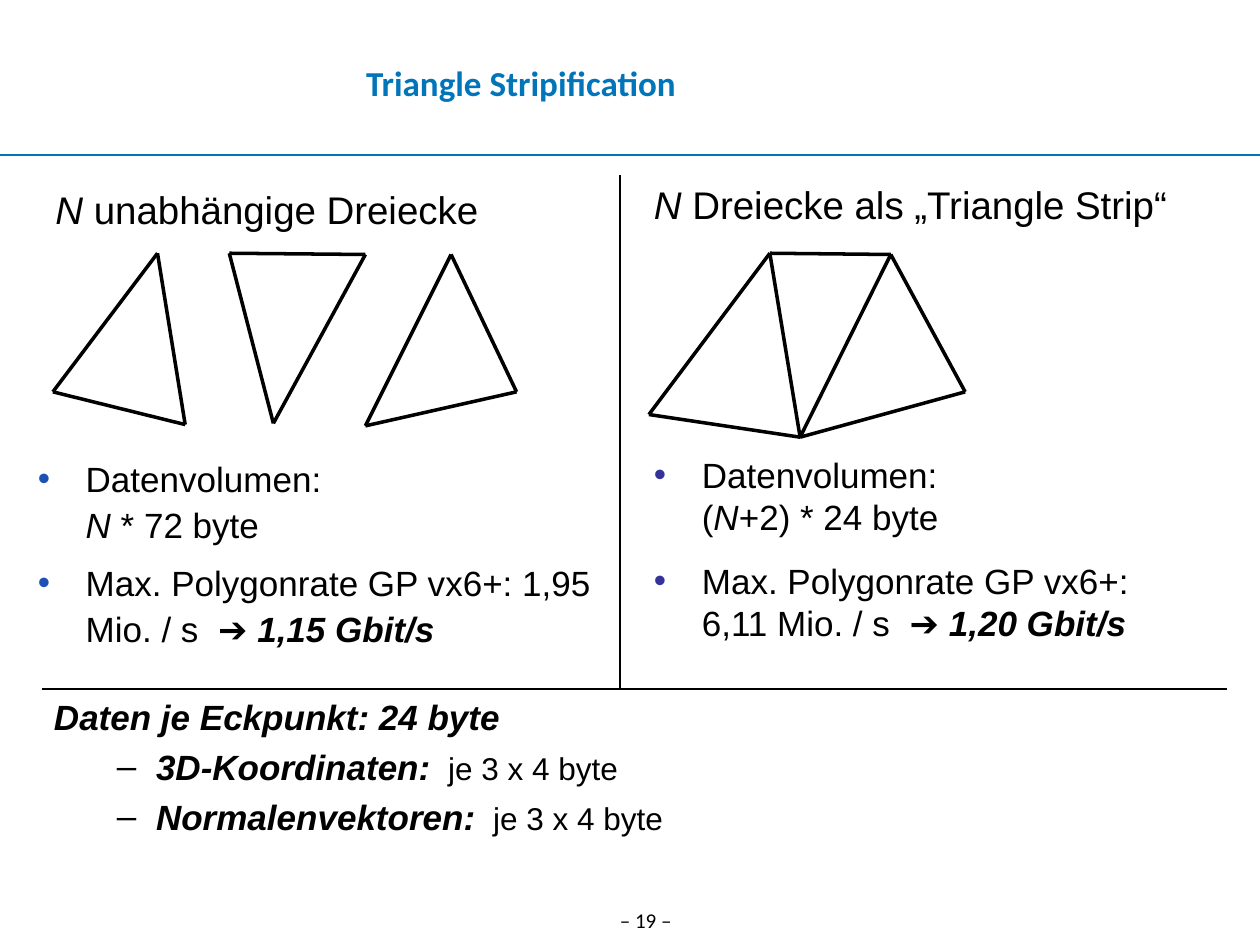
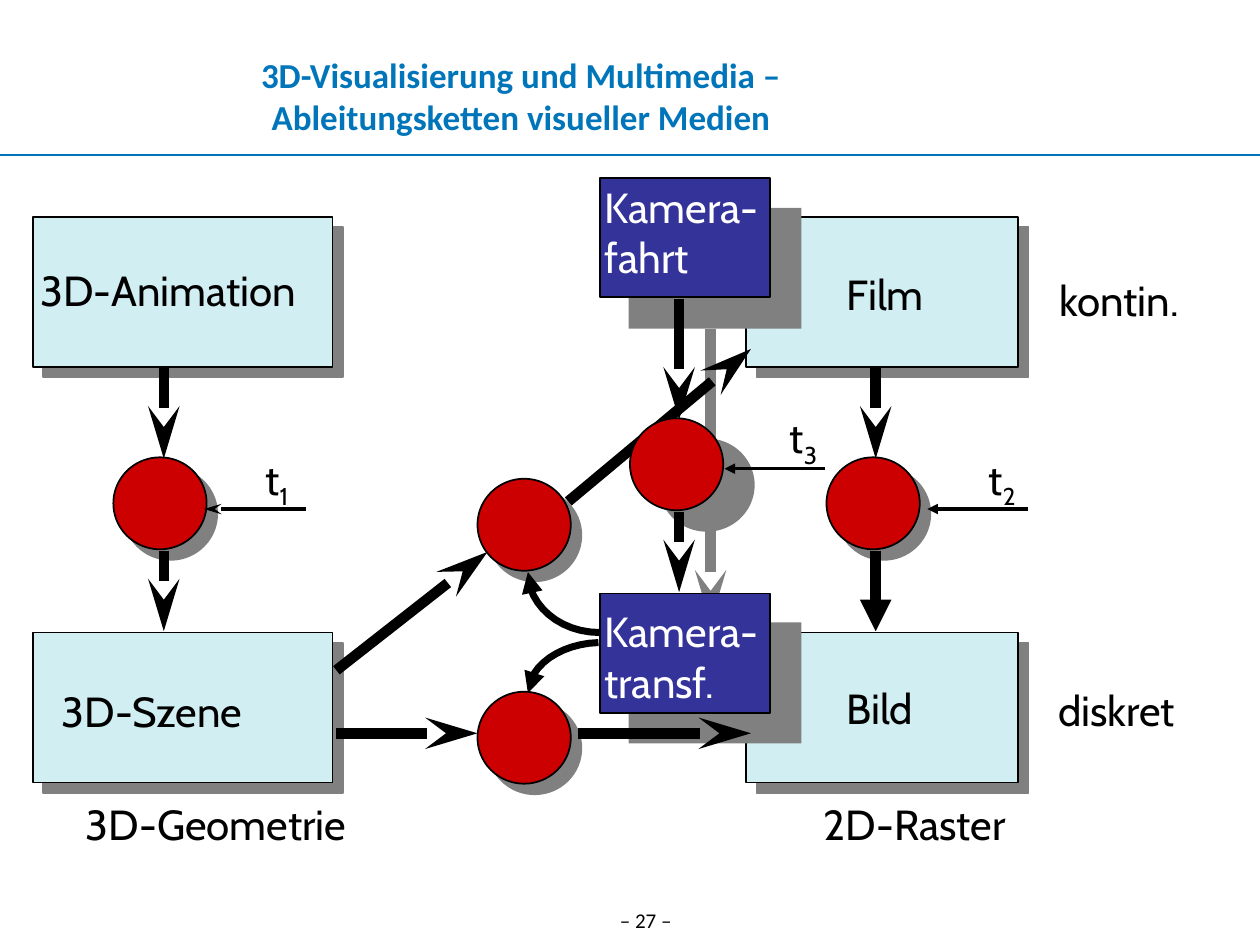
from itertools import combinations
from lxml.etree import SubElement as Sub
from pptx import Presentation
from pptx.dml.color import RGBColor
from pptx.enum.shapes import MSO_CONNECTOR as Conn, MSO_SHAPE as Kind
from pptx.enum.text import MSO_ANCHOR as Anchor, MSO_AUTO_SIZE as Fit, PP_ALIGN as Align
from pptx.oxml.ns import qn
from pptx.util import Pt

BLACK = RGBColor(0x00, 0x00, 0x00)
WHITE = RGBColor(0xFF, 0xFF, 0xFF)
BLUE = RGBColor(0x00, 0x75, 0xBA)
SKY = RGBColor(0x1D, 0x51, 0xB5)
NAVY = RGBColor(0x33, 0x33, 0x99)
PALE = RGBColor(0xD1, 0xEF, 0xF3)
RED = RGBColor(0xCC, 0x00, 0x00)
GRAY = RGBColor(0x80, 0x80, 0x80)

deck = Presentation()
deck.slide_width, deck.slide_height = Pt(720), Pt(540)
CELL = deck.slide_width // 10


def write(frame, runs, face="Arial", size=20, ink=BLACK, align=Align.LEFT,
          gap=0, lead=1.0, mark=None, hang=(0, 0)):
    frame.word_wrap = True
    frame.auto_size = Fit.NONE
    para = frame.paragraphs[0]
    if para.runs:
        para = frame.add_paragraph()
        para.space_before = Pt(gap)
    else:
        para.space_before = Pt(0)
    para.alignment, para.line_spacing = align, lead
    props = para._p.get_or_add_pPr()
    props.set("marL", str(int(hang[0] * CELL)))
    props.set("indent", str(int(-hang[1] * CELL)))
    if mark:
        sign, tint = mark
        Sub(Sub(props, qn("a:buClr")), qn("a:srgbClr"), val=str(tint))
        Sub(props, qn("a:buFont"), typeface="Arial")
        Sub(props, qn("a:buChar"), char=sign)
    else:
        Sub(props, qn("a:buNone"))
    for words, style in runs:
        for num, part in enumerate(words.split("\n")):
            if num:
                para.add_line_break()
            if not part:
                continue
            run = para.add_run()
            run.text = part
            font = run.font
            font.name, font.color.rgb = face, ink
            font.size = Pt(18 if "m" in style else size)
            font.bold, font.italic = "b" in style, "i" in style
            if "s" in style:
                run._r.get_or_add_rPr().set("baseline", "-25000")


def link(slide, ends, wide, ink=BLACK, tip=None):
    line = slide.shapes.add_connector(Conn.STRAIGHT, *[int(v * CELL) for v in ends])
    line.line.color.rgb, line.line.width = ink, Pt(wide)
    if tip:
        reach = "lg" if tip == "stealth" else "med"
        Sub(line.line._get_or_add_ln(), qn("a:tailEnd"), type=tip, w="med", len=reach)
    Sub(line._element.spPr, qn("a:effectLst"))


slides = []
for form, head, top, tall, page in [
    (4, "Triangle Stripification", 0.23, 0.85, 19),
    (5, "3D-Visualisierung und Multimedia –\nAbleitungsketten visueller Medien", 0.44, 0.64, 27),
]:
    slide = deck.slides.add_slide(deck.slide_layouts[form])
    slides.append(slide)
    link(slide, (0, 1.23, 10, 1.23), 0.75, BLUE)
    foot = slide.shapes.add_textbox(*[int(v * CELL) for v in (4.69, 7.15, 0.87, 0.3)])
    write(foot.text_frame, [(f"– {page} –", "")], "Calibri", 12, align=Align.CENTER)
    title = slide.shapes.title
    title.left, title.top, title.width, title.height = [int(v * CELL) for v in (0.2, top, 7.87, tall)]
    frame = title.text_frame
    frame.margin_left = frame.margin_right = frame.margin_top = frame.margin_bottom = 0
    frame.vertical_anchor = Anchor.MIDDLE
    write(frame, [(head, "b")], "Calibri", 20, BLUE, Align.CENTER)

strip, chain = slides

for key, place, size, lead, gap, tint, paras in [
    (1, (0.34, 1.39, 4.25, 0.5), 22, 1.1, 0, None,
     [[("N", "i"), (" unabhängige Dreiecke", "")]]),
    (3, (5.09, 1.39, 4.74, 0.5), 22, 1.0, 0, None,
     [[("N", "i"), (" Dreiecke als „Triangle Strip“", "")]]),
    (2, (0.2, 3.55, 4.88, 1.75), 20, 1.1, 6.2, SKY,
     [[("Datenvolumen:\n", ""), ("N", "i"), (" * 72 byte", "")],
      [("Max. Polygonrate GP vx6+: 1,95 Mio. / s  ➔ ", ""), ("1,15 Gbit/s", "bi")]]),
    (4, (5.09, 3.55, 4.91, 1.75), 20, 1.0, 12.5, NAVY,
     [[("Datenvolumen:\n(", ""), ("N", "i"), ("+2) * 24 byte", "")],
      [("Max. Polygonrate GP vx6+:\n6,11 Mio. / s  ➔ ", ""), ("1,20 Gbit/s", "bi")]]),
]:
    body = strip.placeholders[key]
    body.left, body.top, body.width, body.height = [int(v * CELL) for v in place]
    body.text_frame.vertical_anchor = Anchor.TOP
    for runs in paras:
        write(body.text_frame, runs, size=size, lead=lead, gap=gap,
              mark=("•", tint) if tint else None, hang=(0.38, 0.38) if tint else (0, 0))

facts = strip.shapes.add_textbox(*[int(v * CELL) for v in (0.33, 5.47, 8.42, 1.33)]).text_frame
write(facts, [("Daten je Eckpunkt: 24 byte", "bi")])
for name in ("3D-Koordinaten:", "Normalenvektoren:"):
    write(facts, [(name, "bi"), ("  je 3 x 4 byte", "m")], gap=4.5,
          mark=("–", BLACK), hang=(0.81, 0.31))

link(strip, (4.92, 1.39, 4.92, 5.47), 1)
link(strip, (0.33, 5.47, 9.74, 5.47), 1)
for nodes in [
    [(0.42, 3.11), (1.25, 2.01), (1.47, 3.37)],
    [(1.82, 2.01), (2.17, 3.36), (2.9, 2.02)],
    [(2.9, 3.38), (3.58, 2.02), (4.1, 3.11)],
    [(5.15, 3.29), (6.11, 2.01), (6.35, 3.47), (7.07, 2.02), (7.66, 3.11)],
]:
    for a, b in combinations(range(len(nodes)), 2):
        if b - a < 3:
            link(strip, nodes[a] + nodes[b], 2)

HIGH, LOW = 1.72, 5.02
DISC = (0.74, 0.73)
back = [(Kind.RECTANGLE, (x, y, w, 1.19), PALE, True, True)
        for x, w in ((0.26, 2.38), (5.92, 2.16)) for y in (HIGH, LOW)]
back += [(Kind.RECTANGLE, (4.99, y, 1.37, 0.96), GRAY, False, False) for y in (1.65, 4.94)]
back += [(Kind.OVAL, (5.23, 3.48, 0.76, 0.74), GRAY, False, False)]
back += [(Kind.OVAL, spot + DISC, RED, True, True)
         for spot in ((0.9, 3.63), (6.56, 3.63), (3.79, 3.8), (3.79, 5.49))]
front = [(Kind.RECTANGLE, (4.76, y, 1.35, 0.95), NAVY, True, False) for y in (1.41, 4.71)]
front += [(Kind.OVAL, (5, 3.32) + DISC, RED, True, False)]

under = [
    ((5.64, 2.61, 5.64, 4.94), 6, GRAY, "stealth"),
    ((1.3, 2.92, 1.3, 3.64), 6, BLACK, "stealth"),
    ((1.3, 4.37, 1.3, 5.01), 6, BLACK, "stealth"),
    ((2.43, 4.04, 1.62, 4.04), 2, BLACK, "stealth"),
    ((6.95, 2.92, 6.95, 3.64), 6, BLACK, "stealth"),
    ((6.95, 4.37, 6.95, 5.01), 6, BLACK, "triangle"),
    ((8.16, 4.04, 7.36, 4.04), 2, BLACK, "triangle"),
    ((2.67, 5.82, 3.79, 5.82), 6, BLACK, "stealth"),
    ((2.67, 5.32, 3.87, 4.38), 6, BLACK, "stealth"),
    ((4.59, 5.82, 5.96, 5.82), 6, BLACK, "stealth"),
    ((4.51, 3.98, 5.96, 2.77), 6, BLACK, "stealth"),
]
over = [
    ((5.39, 2.37, 5.39, 3.33), 6, BLACK, "stealth"),
    ((5.39, 4.06, 5.39, 4.7), 6, BLACK, "stealth"),
    ((6.55, 3.72, 5.75, 3.72), 2, BLACK, "triangle"),
]

for blocks, links in ((back, under), (front, over)):
    for kind, place, fill, edge, cast in blocks:
        block = chain.shapes.add_shape(kind, *[int(v * CELL) for v in place])
        block.shadow.inherit = False
        block.fill.solid()
        block.fill.fore_color.rgb = fill
        if edge:
            block.line.color.rgb, block.line.width = BLACK, Pt(1)
        else:
            block.line.fill.background()
        if cast:
            glow = Sub(block._element.spPr.find(qn("a:effectLst")), qn("a:outerShdw"),
                       dist=str(Pt(8.5)), dir="2700000", algn="ctr", rotWithShape="0")
            Sub(glow, qn("a:srgbClr"), val=str(GRAY))
    for ends, wide, ink, tip in links:
        link(chain, ends, wide, ink, tip)

STEPS = 12
for knots in [
    ((4.76, 5.02), (4.44, 5.02), (4.19, 4.8), (4.19, 4.54)),
    ((4.75, 5.1), (4.45, 5.11), (4.2, 5.28), (4.19, 5.5)),
]:
    dots = []
    for step in range(STEPS + 1):
        t = step / STEPS
        parts = ((1 - t) ** 3, 3 * t * (1 - t) ** 2, 3 * t * t * (1 - t), t ** 3)
        dots.append([int(CELL * sum(p * k[axis] for p, k in zip(parts, knots)))
                     for axis in (0, 1)])
    pen = chain.shapes.build_freeform(*dots[0])
    pen.add_line_segments(dots[1:], close=False)
    curve = pen.convert_to_shape()
    curve.shadow.inherit = False
    curve.fill.background()
    curve.line.color.rgb, curve.line.width = BLACK, Pt(4)
    Sub(curve.line._get_or_add_ln(), qn("a:tailEnd"), type="triangle")

for x, y, w, ink, align, words, low in [
    (0.22, 2.05, 2.58, BLACK, Align.LEFT, "3D-Animation", ""),
    (0.39, 5.39, 1.91, BLACK, Align.LEFT, "3D-Szene", ""),
    (6.62, 2.08, 0.94, BLACK, Align.LEFT, "Film", ""),
    (6.62, 5.37, 0.86, BLACK, Align.LEFT, "Bild", ""),
    (8.31, 2.13, 1.29, BLACK, Align.LEFT, "kontin.", ""),
    (8.3, 5.38, 1.28, BLACK, Align.LEFT, "diskret", ""),
    (0.51, 6.29, 2.41, BLACK, Align.CENTER, "3D-Geometrie", ""),
    (6.39, 6.29, 1.74, BLACK, Align.CENTER, "2D-Raster", ""),
    (4.7, 1.39, 1.53, WHITE, Align.LEFT, "Kamera-\nfahrt", ""),
    (4.7, 4.76, 1.53, WHITE, Align.LEFT, "Kamera-\ntransf.", ""),
    (2.01, 3.55, 0.43, BLACK, Align.LEFT, "t", "1"),
    (7.75, 3.55, 0.43, BLACK, Align.LEFT, "t", "2"),
    (6.17, 3.22, 0.43, BLACK, Align.LEFT, "t", "3"),
]:
    rows = words.split("\n")
    tall = 0.1 + 0.4 * len(rows)
    label = chain.shapes.add_textbox(*[int(v * CELL) for v in (x, y, w, tall)])
    for row in rows:
        write(label.text_frame, [(row, ""), (low, "s")], "Cabin", 24, ink, align)

deck.save("out.pptx")
